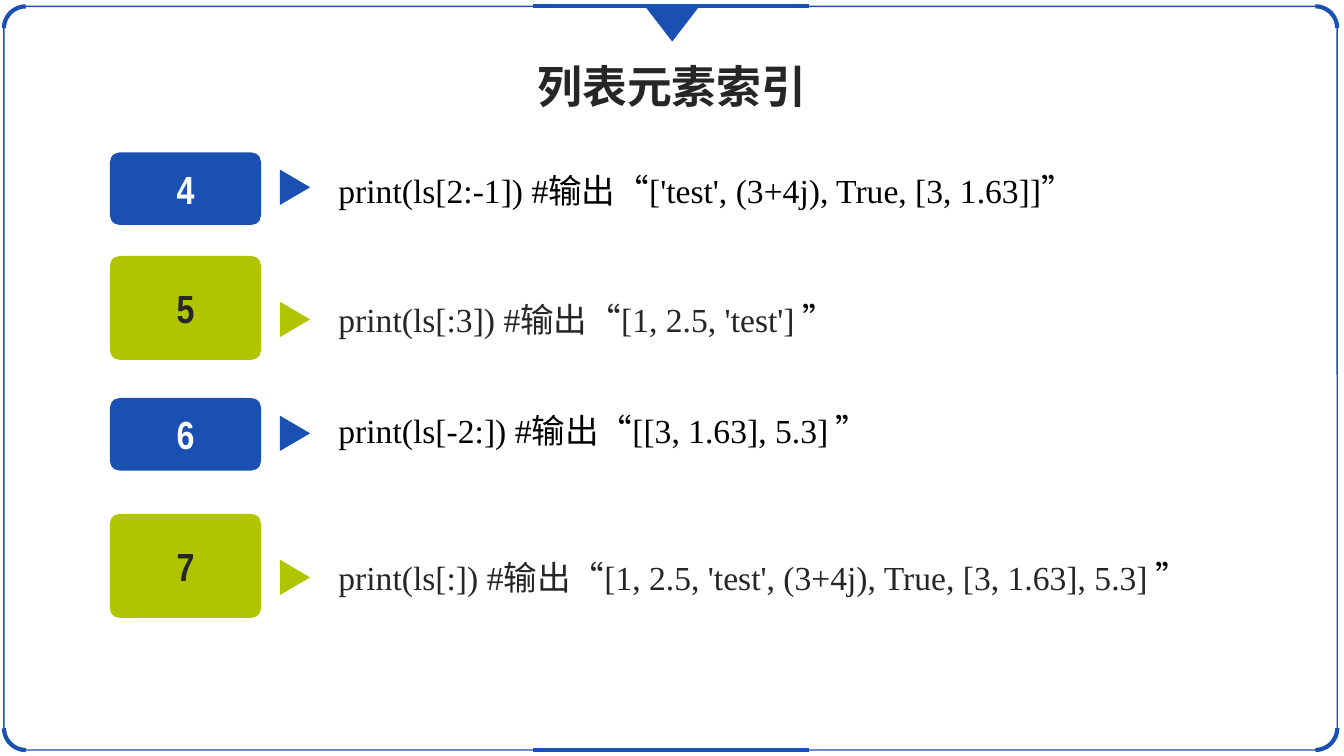
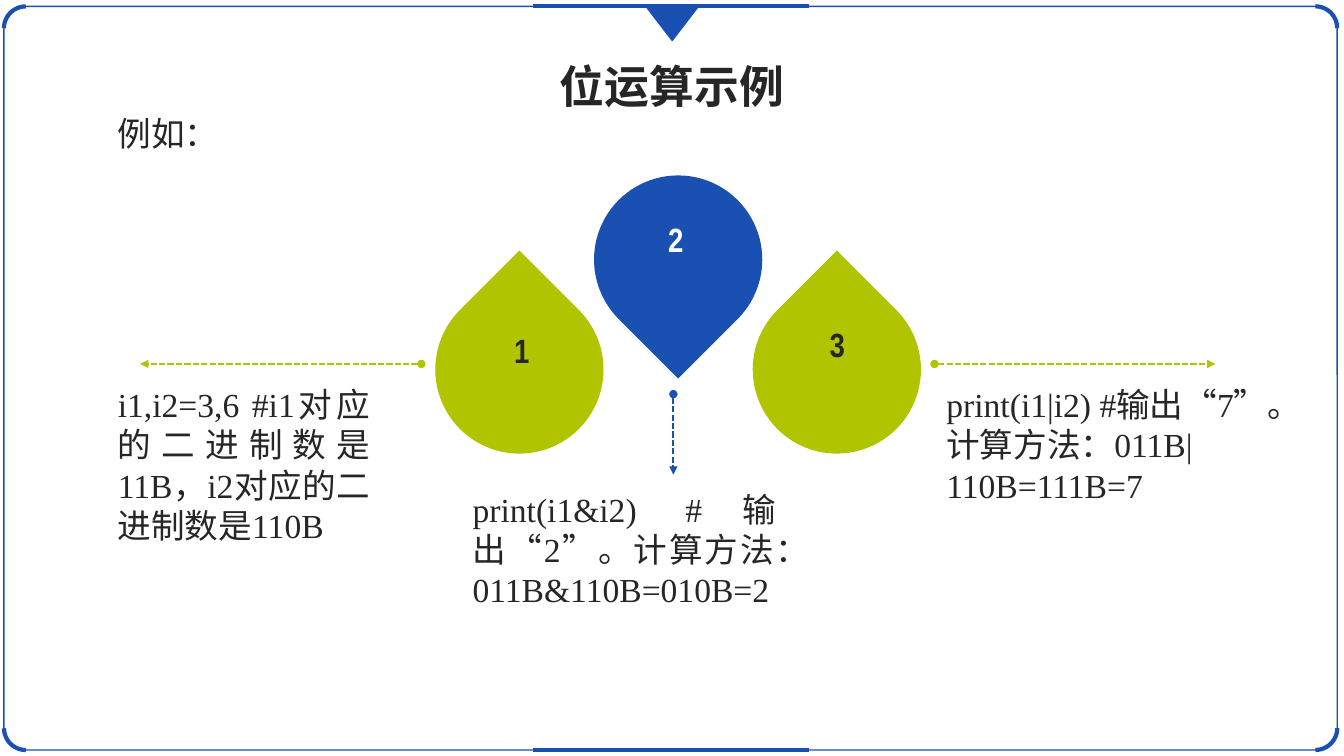
from dataclasses import dataclass

from lxml import etree
from pptx import Presentation
from pptx.dml.color import RGBColor
from pptx.enum.dml import MSO_LINE
from pptx.enum.shapes import MSO_CONNECTOR, MSO_SHAPE
from pptx.enum.text import MSO_ANCHOR, MSO_AUTO_SIZE, PP_ALIGN
from pptx.oxml.ns import qn
from pptx.util import Cm, Pt

STRAIGHT = MSO_CONNECTOR.STRAIGHT
ARC, TRIANGLE, TEARDROP = MSO_SHAPE.ARC, MSO_SHAPE.ISOSCELES_TRIANGLE, MSO_SHAPE.TEAR
ROUND_RECT = MSO_SHAPE.ROUNDED_RECTANGLE
TOP, MIDDLE = MSO_ANCHOR.TOP, MSO_ANCHOR.MIDDLE
LEFT, CENTER, JUSTIFY = PP_ALIGN.LEFT, PP_ALIGN.CENTER, PP_ALIGN.JUSTIFY
FIT_TEXT = MSO_AUTO_SIZE.SHAPE_TO_FIT_TEXT
DASH = MSO_LINE.SQUARE_DOT

SLIDE_W, SLIDE_H = 33.87, 19.05
FRAME_X, FRAME_Y, FRAME_W, FRAME_H = 0.1, 0.16, 33.6, 18.74
BLUE, LIME, INK, BLACK, WHITE = "1950B2", "B1C400", "262626", "000000", "FFFFFF"
CJK, SERIF, NARROW = "Noto Sans CJK SC", "Times New Roman", "Arial Narrow"


@dataclass(frozen=True)
class Accent:
    fill: str
    ink: str


@dataclass(frozen=True)
class Span:
    text: str
    font: str | None = None
    color: str | None = None


@dataclass(frozen=True)
class Style:
    size: int
    font: str
    color: str = INK
    bold: bool = False
    align: PP_ALIGN = LEFT


@dataclass(frozen=True)
class CodeRow:
    number: str
    accent: Accent
    top: float
    height: float
    arrow_mid: float
    text_mid: float
    code: Span
    quote: Span


@dataclass(frozen=True)
class Drop:
    number: str
    accent: Accent
    top: float
    rotation: int
    number_at: tuple[float, float]
    arrow: tuple[float, float, float, float]


@dataclass(frozen=True)
class Note:
    left: float
    top: float
    width: float
    style: Style
    spans: tuple[Span, ...]


ON_BLUE, ON_LIME = Accent(BLUE, WHITE), Accent(LIME, INK)
TITLE = Style(32, CJK, bold=True, align=CENTER)
BODY = Style(24, SERIF)
BODY_JUSTIFIED = Style(24, SERIF, align=JUSTIFY)
END_QUOTE, SPACED_QUOTE = Span("”", CJK, BLACK), Span(" ”", CJK, BLACK)

CODE_ROWS = [
    CodeRow("4", ON_BLUE, 3.84, 1.83, 4.72, 4.78,
            Span("print(ls[2:-1]) #输出“['test', (3+4j), True, [3, 1.63]]", color=BLACK), END_QUOTE),
    CodeRow("5", ON_LIME, 6.45, 2.62, 8.05, 8.05,
            Span("print(ls[:3]) #输出“[1, 2.5, 'test']"), SPACED_QUOTE),
    CodeRow("6", ON_BLUE, 10.03, 1.83, 10.92, 10.85,
            Span("print(ls[-2:]) #输出“[[3, 1.63], 5.3]", color=BLACK), SPACED_QUOTE),
    CodeRow("7", ON_LIME, 12.95, 2.62, 14.55, 14.53,
            Span("print(ls[:]) #输出“[1, 2.5, 'test', (3+4j), True, [3, 1.63], 5.3]"), SPACED_QUOTE),
]
DROPS = [
    Drop("1", ON_LIME, 7.19, 315, (13.15, 8.81), (10.62, 9.17, 3.53, 9.17)),
    Drop("2", ON_BLUE, 4.42, 135, (17.03, 6.02), (16.97, 9.93, 16.97, 11.96)),
    Drop("3", ON_LIME, 7.19, 315, (21.1, 8.66), (23.55, 9.17, 30.63, 9.17)),
]
NOTES = [
    Note(2.72, 2.72, 19.63, Style(24, CJK), (Span("例如："),)),
    Note(2.72, 9.55, 6.86, BODY_JUSTIFIED,
         (Span("i1,i2=3,6 #i1对应的二进制数是11B，i2对应的二进制数是110B"),)),
    Note(11.66, 12.19, 8.15, BODY_JUSTIFIED,
         (Span("print(i1&i2) #输出“2"), Span("”", CJK), Span("。计算方法：011B&110B=010B=2"))),
    Note(23.6, 9.55, 9.04, BODY,
         (Span("print(i1|i2) #输出“7"), Span("”", CJK), Span("。计算方法：011B|110B=111B=7"))),
]


def rgb(color: str) -> RGBColor:
    return RGBColor.from_string(color)


def write(tf, style: Style, *spans: Span) -> None:
    """Fill a text frame with one paragraph, using the CJK font for Chinese."""
    p = tf.paragraphs[0]
    p.alignment = style.align
    p.font.size, p.font.bold, p.font.name = Pt(style.size), style.bold, style.font
    p.font.color.rgb = rgb(style.color)
    etree.SubElement(p._p.pPr.find(qn("a:defRPr")), qn("a:ea"), typeface=CJK)
    for span in spans:
        r = p.add_run()
        r.text = span.text
        if span.font:
            r.font.name = span.font
        if span.color:
            r.font.color.rgb = rgb(span.color)


def add_text(s, left: float, top: float, width: float, height: float, style: Style,
             *spans: Span, wrap: bool = True, anchor: MSO_ANCHOR = TOP) -> None:
    tf = s.shapes.add_textbox(Cm(left), Cm(top), Cm(width), Cm(height)).text_frame
    tf.word_wrap, tf.vertical_anchor, tf.auto_size = wrap, anchor, FIT_TEXT
    write(tf, style, *spans)


def add_shape(s, kind: MSO_SHAPE, left: float, top: float, width: float, height: float,
              fill: str | None = None, line: str | None = None, weight: float = 1,
              rotation: int = 0):
    sp = s.shapes.add_shape(kind, Cm(left), Cm(top), Cm(width), Cm(height))
    sp.shadow.inherit = False
    sp.rotation = rotation
    if fill:
        sp.fill.solid()
        sp.fill.fore_color.rgb = rgb(fill)
    else:
        sp.fill.background()
    if line:
        sp.line.color.rgb = rgb(line)
        sp.line.width = Pt(weight)
    else:
        sp.line.fill.background()
    return sp


def add_line(s, x1: float, y1: float, x2: float, y2: float, color: str, weight: float):
    line = s.shapes.add_connector(STRAIGHT, Cm(x1), Cm(y1), Cm(x2), Cm(y2))
    line.line.color.rgb = rgb(color)
    line.line.width = Pt(weight)
    etree.SubElement(line._element.spPr, qn("a:effectLst"))
    return line


def add_dashed_arrow(s, ends: tuple[float, float, float, float], color: str) -> None:
    """Draw a dashed line from a dot to an arrowhead."""
    line = add_line(s, *ends, color, 1.5).line
    line.dash_style = DASH
    ln = line._get_or_add_ln()
    etree.SubElement(ln, qn("a:headEnd"), type="oval")
    etree.SubElement(ln, qn("a:tailEnd"), type="triangle")


def add_framed_slide(prs, title: str):
    s = prs.slides.add_slide(prs.slide_layouts[6])
    frame = add_shape(s, ROUND_RECT, FRAME_X, FRAME_Y, FRAME_W, FRAME_H, line=BLUE)
    frame.adjustments[0] = 0.03
    corner = 1.1
    right, bottom = FRAME_X + FRAME_W, FRAME_Y + FRAME_H
    for x, y, rotation in (
        (FRAME_X, FRAME_Y, 270),
        (right - corner, FRAME_Y, 0),
        (right - corner, bottom - corner, 90),
        (FRAME_X, bottom - corner, 180),
    ):
        add_shape(s, ARC, x, y, corner, corner, line=BLUE, weight=3, rotation=rotation)
    for y in (FRAME_Y, bottom):
        add_line(s, 13.44, y, 20.4, y, BLUE, 3)
    add_shape(s, TRIANGLE, 16.28, FRAME_Y, 1.32, 0.86, BLUE, BLUE, rotation=180)
    width = 8
    add_text(s, (SLIDE_W - width) / 2, 1.35, width, 1.63, TITLE, Span(title), wrap=False)
    return s


def add_code_row(s, row: CodeRow) -> None:
    fill = row.accent.fill
    badge = add_shape(s, ROUND_RECT, 2.77, row.top, 3.81, row.height, fill)
    badge.adjustments[0] = 0.25 / row.height
    badge.text_frame.vertical_anchor = MIDDLE
    write(badge.text_frame, Style(28, NARROW, row.accent.ink, True, CENTER), Span(row.number))
    base, depth = 0.89, 0.76
    add_shape(s, TRIANGLE, 6.99, row.arrow_mid - depth / 2, base, depth, fill, rotation=90)
    height = 1.27
    add_text(s, 8.28, row.text_mid - height / 2, 23.65, height, BODY, row.code, row.quote,
             anchor=MIDDLE)


def add_drop(s, drop: Drop, left: float) -> None:
    size, box_w, box_h = 4.24, 1, 1.27
    add_shape(s, TEARDROP, left, drop.top, size, size, drop.accent.fill, rotation=drop.rotation)
    x, y = drop.number_at
    add_text(s, x - box_w / 2, y - box_h / 2, box_w, box_h,
             Style(24, NARROW, drop.accent.ink, True, CENTER), Span(drop.number),
             wrap=False, anchor=MIDDLE)
    add_dashed_arrow(s, drop.arrow, drop.accent.fill)


def main() -> None:
    prs = Presentation()
    prs.slide_width, prs.slide_height = Cm(SLIDE_W), Cm(SLIDE_H)

    s = add_framed_slide(prs, "列表元素索引")
    for row in CODE_ROWS:
        add_code_row(s, row)

    s = add_framed_slide(prs, "位运算示例")
    for i, drop in enumerate(DROPS):
        add_drop(s, drop, 10.97 + 4 * i)
    for note in NOTES:
        add_text(s, note.left, note.top, note.width, 1.27, note.style, *note.spans)

    prs.save("out.pptx")


if __name__ == "__main__":
    main()
